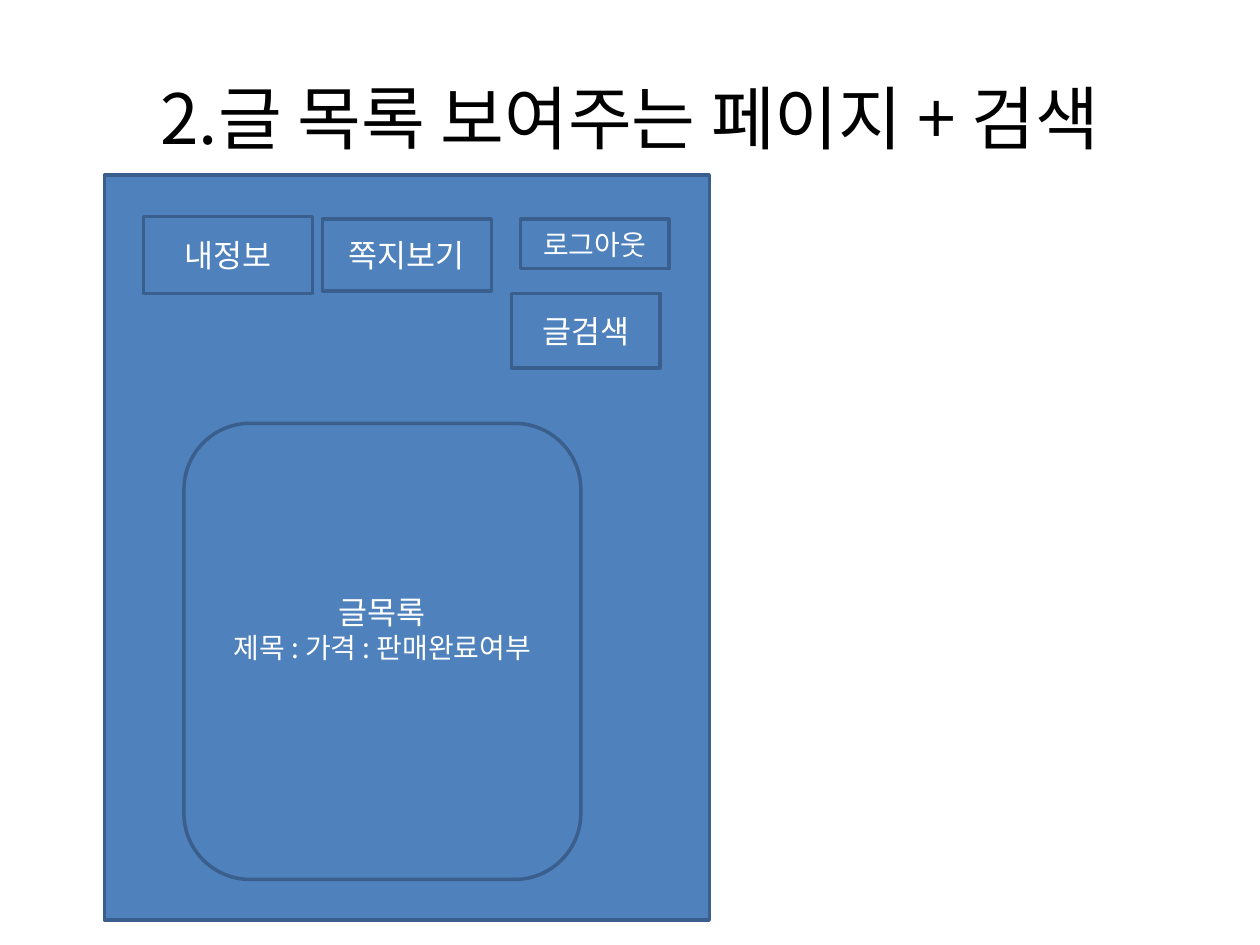
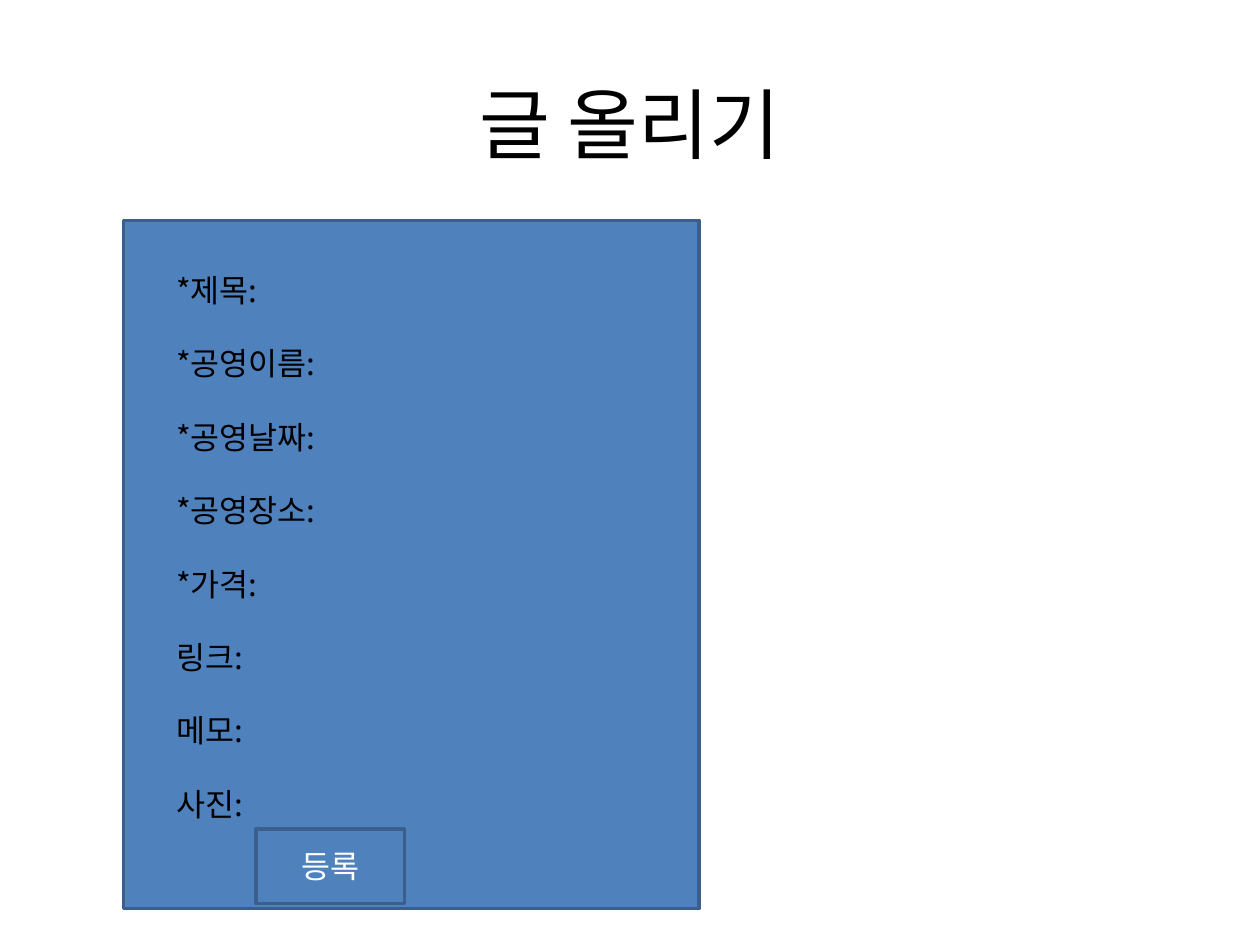
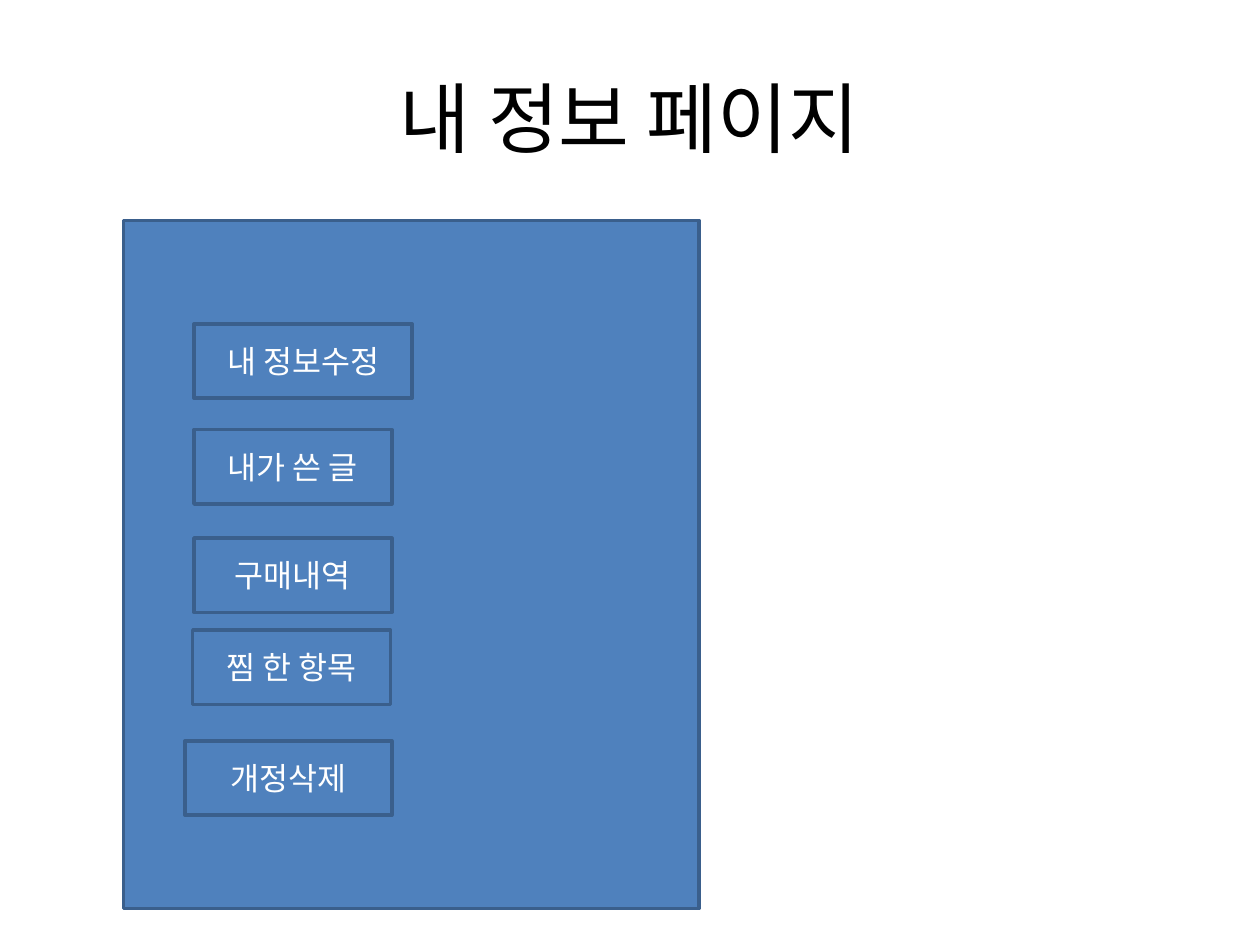
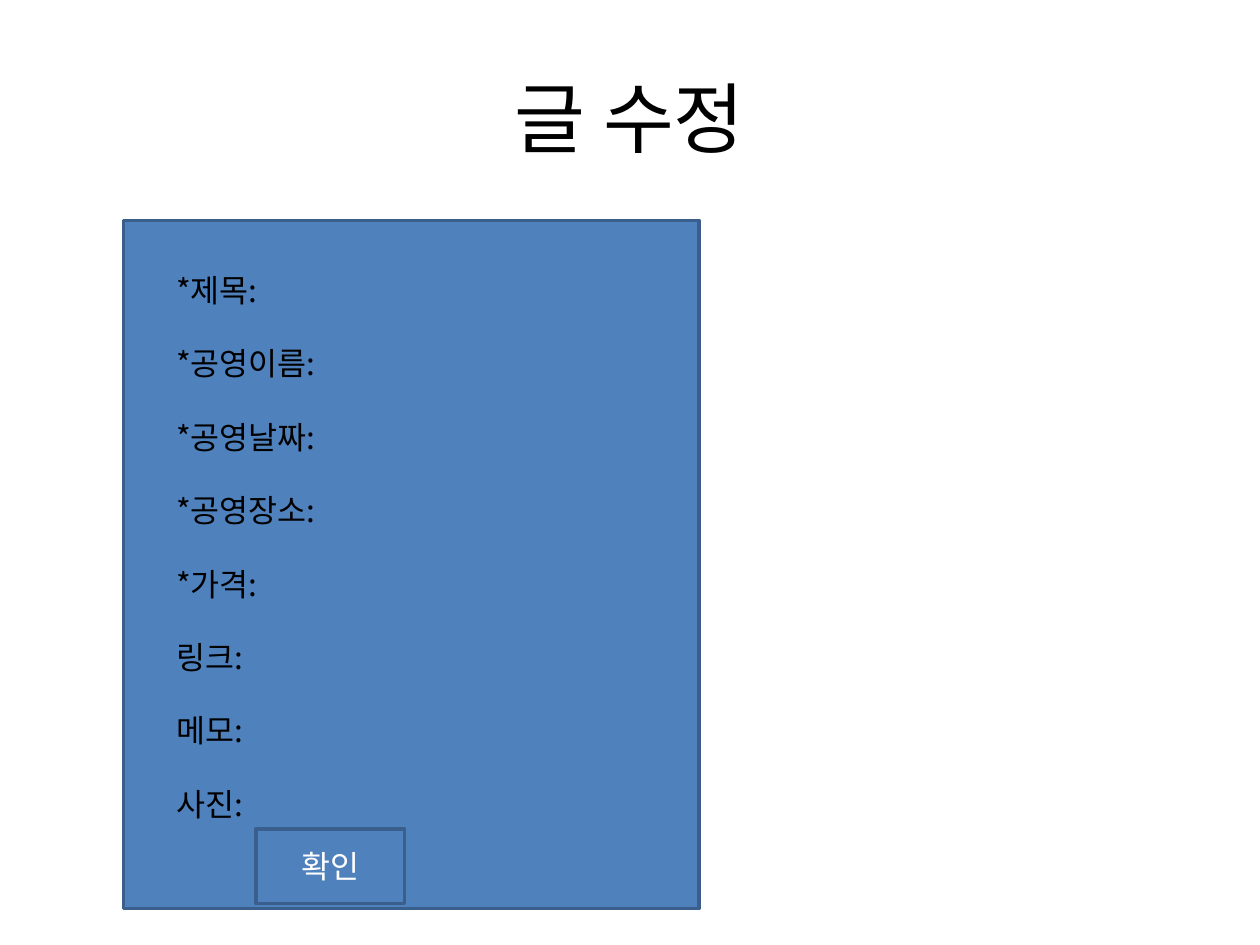
"""Builds four wireframe slides of a ticket resale board."""
import pptx
import pptx.util
import pptx.dml.color
import pptx.enum.shapes
import pptx.enum.text
import lxml.etree
from pptx.util import Inches

FONT = "Noto Sans CJK KR"
BLACK = pptx.dml.color.RGBColor(0x00, 0x00, 0x00)
WHITE = pptx.dml.color.RGBColor(0xFF, 0xFF, 0xFF)
BLUE = pptx.dml.color.RGBColor(0x4F, 0x81, 0xBD)
DARK_BLUE = pptx.dml.color.RGBColor(0x3A, 0x5F, 0x8C)
DRAWING = "{http://schemas.openxmlformats.org/drawingml/2006/main}"
RECTANGLE = pptx.enum.shapes.MSO_SHAPE.RECTANGLE
ROUNDED = pptx.enum.shapes.MSO_SHAPE.ROUNDED_RECTANGLE
MIDDLE = pptx.enum.text.MSO_ANCHOR.MIDDLE
CENTER = pptx.enum.text.PP_ALIGN.CENTER
LEFT = pptx.enum.text.PP_ALIGN.LEFT


def write(box, lines, color, align=CENTER):
    """Write (text, size) lines into a box, one paragraph each."""
    frame = box.text_frame
    frame.word_wrap = True
    frame.vertical_anchor = MIDDLE
    for index, (text, size) in enumerate(lines):
        para = frame.add_paragraph() if index else frame.paragraphs[0]
        para.alignment = align
        span = para.add_run()
        span.text = text
        span.font.name = FONT
        span.font.size = pptx.util.Pt(size)
        span.font.color.rgb = color
        east_asian = lxml.etree.SubElement(span.font._element, DRAWING + "ea")
        east_asian.set("typeface", FONT)


def add_panel(page, place, lines=(), kind=RECTANGLE):
    """Add a blue outlined panel or button with centred white text."""
    box = page.shapes.add_shape(kind, *map(Inches, place))
    box.shadow.inherit = False
    box.fill.solid()
    box.fill.fore_color.rgb = BLUE
    box.line.color.rgb = DARK_BLUE
    box.line.width = pptx.util.Pt(2)
    write(box, lines, WHITE)
    return box


deck = pptx.Presentation()
deck.slide_width = Inches(10)
deck.slide_height = Inches(7.5)

SCREEN = (0.98, 1.75, 4.57, 5.46)
pages = []
for title, size, top, screen in [
    ("2.글 목록 보여주는 페이지 + 검색", 39.6, 0.3, (0.83, 1.39, 4.8, 5.91)),
    ("글 올리기", 44, 0.35, SCREEN),
    ("내 정보 페이지", 44, 0.3, SCREEN),
    ("글 수정", 44, 0.3, SCREEN),
]:
    page = deck.slides.add_slide(deck.slide_layouts[6])
    heading = page.shapes.add_textbox(Inches(0.5), Inches(top), Inches(9), Inches(1.25))
    write(heading, [(title, size)], BLACK)
    add_panel(page, screen)
    pages.append(page)
list_page, post_page, profile_page, edit_page = pages

post_list = add_panel(
    list_page, (1.46, 3.36, 3.15, 3.62),
    [("글목록", 18), ("제목 : 가격 : 판매완료여부", 16)], ROUNDED)
post_list.text_frame.margin_bottom = Inches(0.41)

for page, label, size, place in [
    (list_page, "로그아웃", 16, (4.13, 1.74, 1.18, 0.39)),
    (list_page, "쪽지보기", 18, (2.56, 1.74, 1.34, 0.57)),
    (list_page, "내정보", 18, (1.14, 1.72, 1.34, 0.61)),
    (list_page, "글검색", 18, (4.06, 2.33, 1.18, 0.59)),
    (profile_page, "내 정보수정", 18, (1.54, 2.57, 1.73, 0.59)),
    (profile_page, "내가 쓴 글", 18, (1.54, 3.41, 1.57, 0.59)),
    (profile_page, "찜 한 항목", 18, (1.53, 5, 1.57, 0.59)),
    (profile_page, "구매내역", 18, (1.54, 4.27, 1.57, 0.59)),
    (profile_page, "개정삭제", 18, (1.47, 5.88, 1.64, 0.59)),
]:
    add_panel(page, place, [(label, size)])

FIELDS = [
    ("*제목:", 0.87), ("*공영이름:", 1.37), ("*공영날짜:", 1.37), ("*공영장소:", 1.37),
    ("*가격:", 0.87), ("링크:", 0.76), ("메모:", 0.76), ("사진:", 0.76),
]
FIELD_TOP = 2.1
FIELD_STEP = (6.18 - FIELD_TOP) / (len(FIELDS) - 1)
for page, button in [(post_page, "등록"), (edit_page, "확인")]:
    for row, (label, width) in enumerate(FIELDS):
        field = page.shapes.add_textbox(
            Inches(1.3), Inches(FIELD_TOP + row * FIELD_STEP), Inches(width), Inches(0.4))
        write(field, [(label, 18)], BLACK, LEFT)
        field.text_frame.vertical_anchor = pptx.enum.text.MSO_ANCHOR.TOP
        field.text_frame.word_wrap = False
        field.text_frame.auto_size = pptx.enum.text.MSO_AUTO_SIZE.SHAPE_TO_FIT_TEXT
    add_panel(page, (2.03, 6.58, 1.18, 0.59), [(button, 18)])

deck.save("out.pptx")
